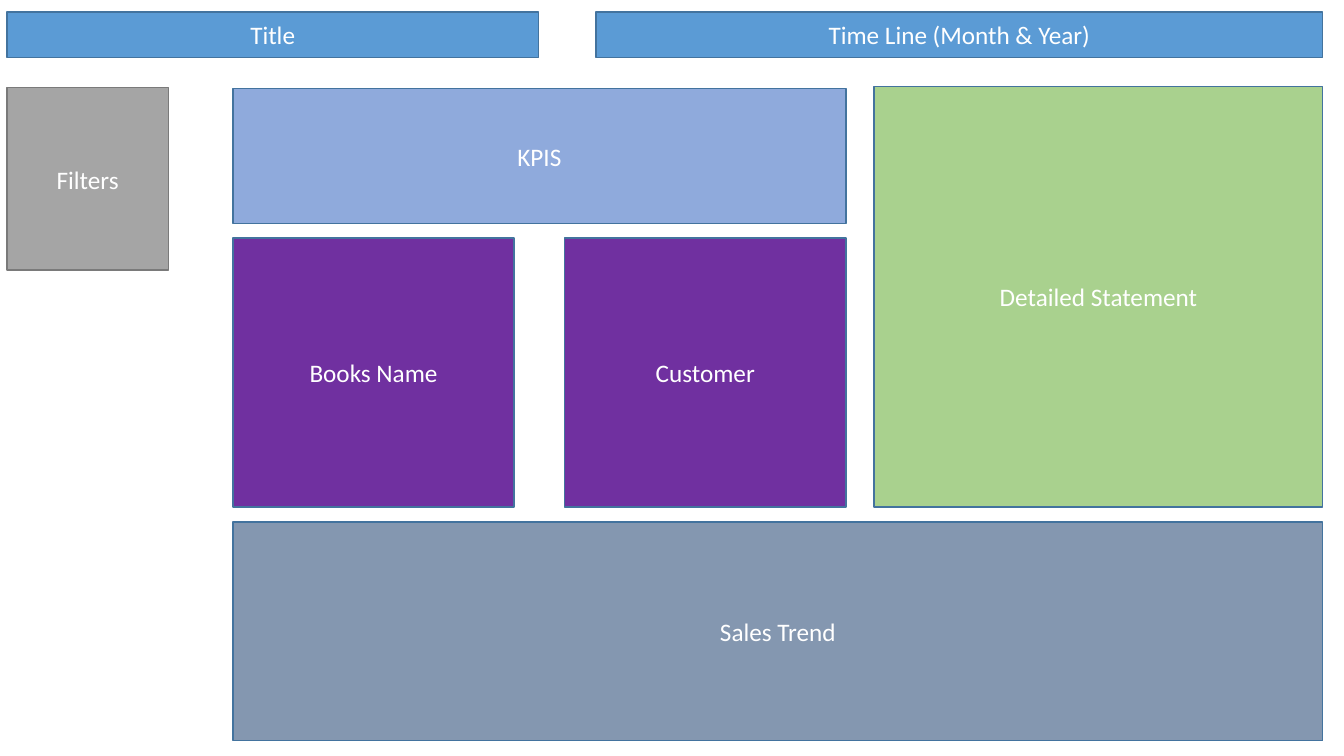
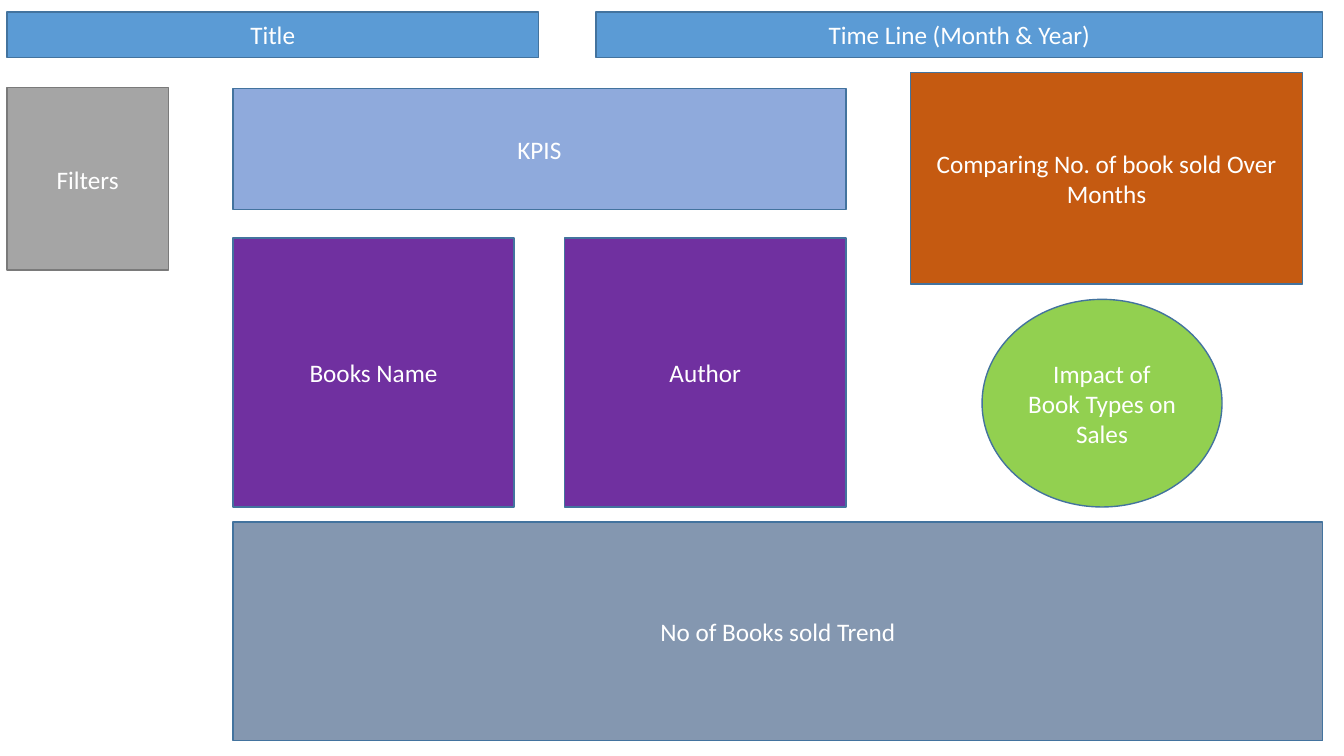
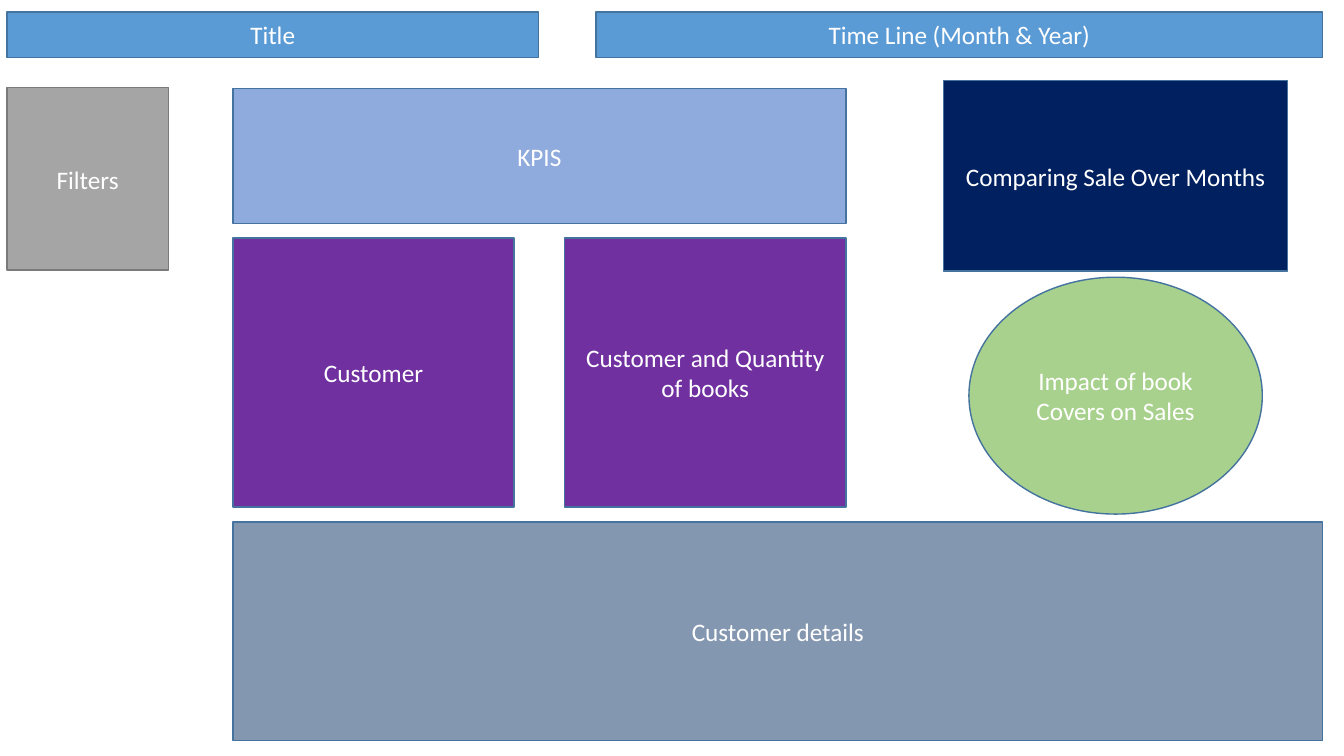
"""Build three wireframes of a book sales dashboard."""
from pptx import Presentation
from pptx.dml.color import RGBColor
from pptx.enum.shapes import MSO_SHAPE
from pptx.enum.text import MSO_ANCHOR, PP_ALIGN
from pptx.util import Inches, Pt

RECT, OVAL = MSO_SHAPE.RECTANGLE, MSO_SHAPE.OVAL
MIDDLE, CENTER = MSO_ANCHOR.MIDDLE, PP_ALIGN.CENTER

COLORS = {
    "header": "5B9BD5", "filters": "A5A5A5", "kpis": "8FAADC",
    "breakdown": "7030A0", "trend": "8497B0", "sage": "A9D18E",
    "lime": "92D050", "rust": "C55A11", "navy": "002060",
    "outline": "43739E", "filters_outline": "7A7A7A", "text": "FFFFFF",
}
FONT, FONT_SIZE, LINE_WIDTH = "Calibri", 18, 1

DASHBOARDS = [
    {"kpi_height": 1.34, "breakdowns": ["Books Name", "Customer"],
     "trend": "Sales Trend",
     "insights": [("Detailed Statement", RECT, "sage", (8.67, 0.86, 4.45, 4.17))]},
    {"kpi_height": 1.2, "breakdowns": ["Books Name", "Author"],
     "trend": "No of Books sold Trend",
     "insights": [
         ("Comparing No. of book sold Over Months", RECT, "rust",
          (9.03, 0.72, 3.89, 2.1)),
         ("Impact of Book Types on Sales", OVAL, "lime",
          (9.74, 2.97, 2.38, 2.06))]},
    {"kpi_height": 1.34,
     "breakdowns": ["Customer", "Customer and Quantity of books"],
     "trend": "Customer details",
     "insights": [
         ("Impact of book Covers on Sales", OVAL, "sage",
          (9.61, 2.75, 2.91, 2.35)),
         ("Comparing Sale Over Months", RECT, "navy",
          (9.36, 0.8, 3.41, 1.89))]},
]

LEFT, RIGHT = 0.07, 13.12
HEADER_TOP, HEADER_HEIGHT = 0.12, 0.45
TIMELINE_LEFT = 5.91
MAIN_LEFT, MAIN_WIDTH = 2.31, 6.08
BREAKDOWN_TOP, BREAKDOWN_WIDTH, BREAKDOWN_HEIGHT = 2.36, 2.79, 2.67
BREAKDOWN_STEP = MAIN_WIDTH - BREAKDOWN_WIDTH


def rgb(name):
    return RGBColor.from_string(COLORS[name])


def add_panel(slide, label, geometry, color, box, outline="outline"):
    panel = slide.shapes.add_shape(geometry, *map(Inches, box))
    panel.shadow.inherit = False
    panel.fill.solid()
    panel.fill.fore_color.rgb = rgb(color)
    panel.line.color.rgb = rgb(outline)
    panel.line.width = Pt(LINE_WIDTH)
    frame = panel.text_frame
    frame.text = label
    frame.word_wrap = True
    frame.vertical_anchor = MIDDLE
    paragraph = frame.paragraphs[0]
    paragraph.alignment = CENTER
    font = paragraph.runs[0].font
    font.name, font.size = FONT, Pt(FONT_SIZE)
    font.color.rgb = rgb("text")


def add_frame(slide):
    add_panel(slide, "Title", RECT, "header",
              (LEFT, HEADER_TOP, 5.27, HEADER_HEIGHT))
    add_panel(slide, "Time Line (Month & Year)", RECT, "header",
              (TIMELINE_LEFT, HEADER_TOP, RIGHT - TIMELINE_LEFT, HEADER_HEIGHT))
    add_panel(slide, "Filters", RECT, "filters", (LEFT, 0.87, 1.6, 1.81),
              "filters_outline")


def add_dashboard(slide, dashboard):
    add_frame(slide)
    add_panel(slide, "KPIS", RECT, "kpis",
              (MAIN_LEFT, 0.88, MAIN_WIDTH, dashboard["kpi_height"]))
    add_panel(slide, dashboard["trend"], RECT, "trend",
              (MAIN_LEFT, 5.18, RIGHT - MAIN_LEFT, 2.17))
    for column, label in enumerate(dashboard["breakdowns"]):
        add_panel(slide, label, RECT, "breakdown",
                  (MAIN_LEFT + column * BREAKDOWN_STEP, BREAKDOWN_TOP,
                   BREAKDOWN_WIDTH, BREAKDOWN_HEIGHT))
    for insight in dashboard["insights"]:
        add_panel(slide, *insight)


deck = Presentation()
deck.slide_width, deck.slide_height = Inches(13.33), Inches(7.5)
blank = deck.slide_layouts[6]
for dashboard in DASHBOARDS:
    add_dashboard(deck.slides.add_slide(blank), dashboard)
deck.save("out.pptx")
